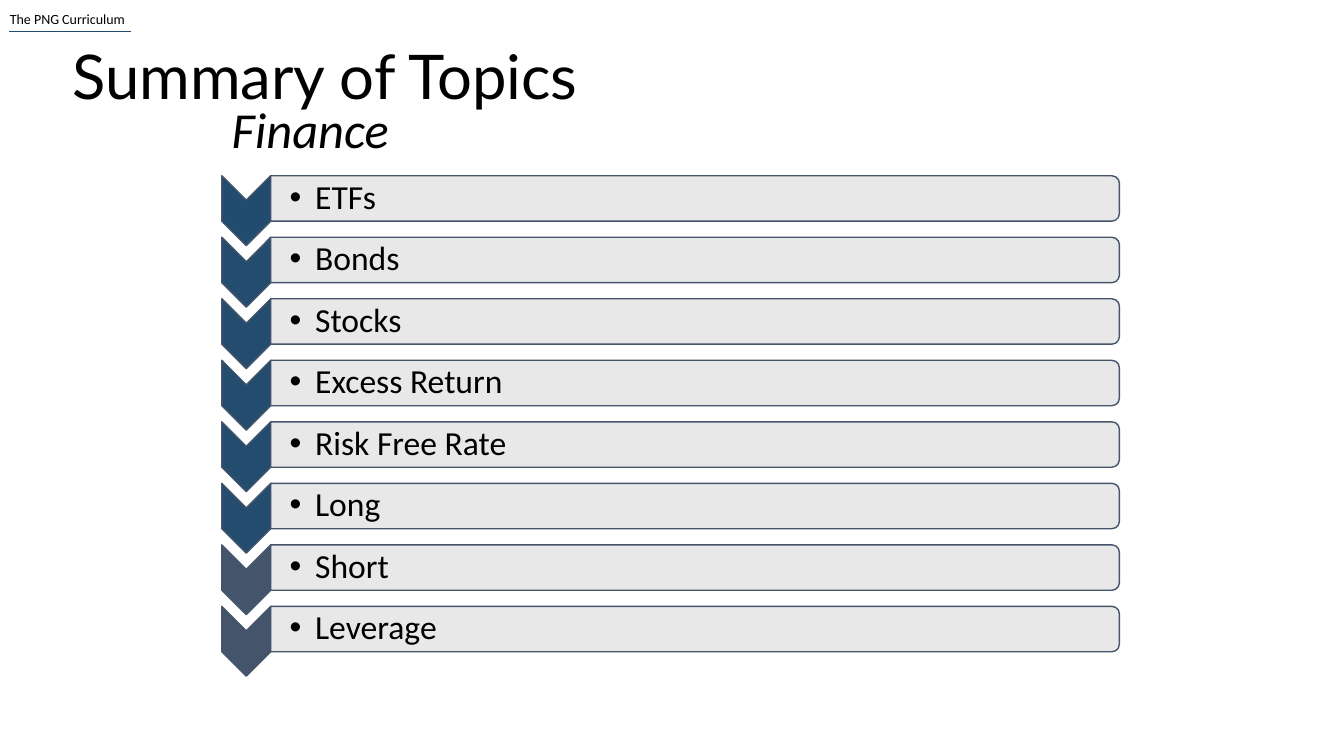
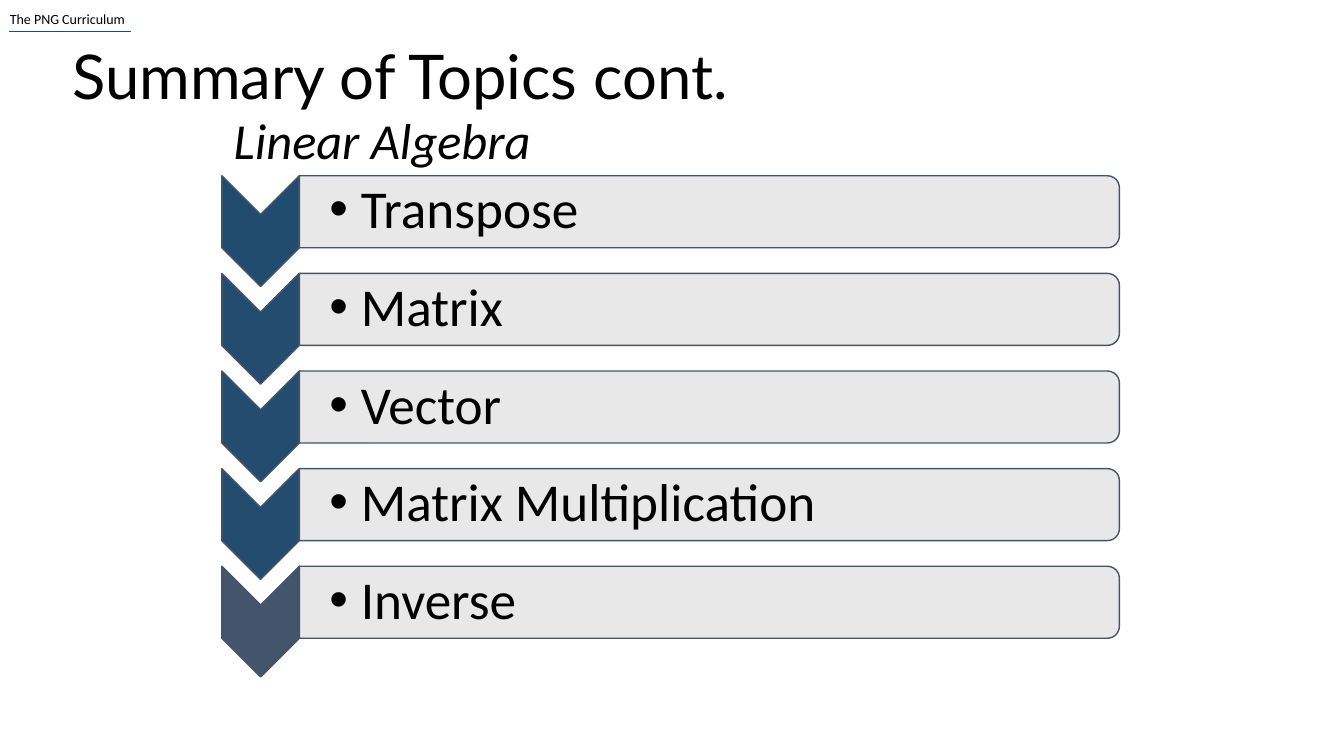
from lxml import etree
from pptx import Presentation
from pptx.dml.color import RGBColor
from pptx.enum import shapes, text
from pptx.oxml import ns
from pptx.util import Cm, Pt

COLOURS = {
    "text": "000000",
    "rule": "244C70",
    "first": "224C6F",
    "main": "244C6F",
    "slate": "44546A",
    "bar": "E7E6E6",
}
LIST_LEFT, LIST_RIGHT, LIST_TOP = 5.59, 28.21, 4.43

# "slate" is the number of closing rows with a slate chevron
TOPICS = [
    {"title": "Summary of Topics", "subject": "Finance", "subject_at": (5.59, 2.36),
     "items": ["ETFs", "Bonds", "Stocks", "Excess Return", "Risk Free Rate",
               "Long", "Short", "Leverage"],
     "slate": 2, "size": 24, "chevron": 1.76, "step": 1.55, "inset": 0.48, "indent": 0.64},
    {"title": "Summary of Topics cont.", "subject": "Linear Algebra", "subject_at": (5.64, 2.62),
     "items": ["Transpose", "Matrix", "Vector", "Matrix Multiplication", "Inverse"],
     "slate": 1, "size": 38, "chevron": 2.79, "step": 2.46, "inset": 0.76, "indent": 0.79},
]


def write(box, words, size, font="Calibri", italic=False, spacing=None, bullet_indent=None):
    box.text_frame.word_wrap = True
    para = box.text_frame.paragraphs[0]
    para.alignment = text.PP_ALIGN.LEFT
    para.line_spacing = spacing
    span = para.add_run()
    span.text = words
    span.font.size = Pt(size)
    span.font.name = font
    span.font.italic = italic
    span.font.color.rgb = RGBColor.from_string(COLOURS["text"])
    if bullet_indent:
        props = para._p.get_or_add_pPr()
        props.set("marL", str(Cm(bullet_indent)))
        props.set("indent", str(-Cm(bullet_indent)))
        etree.SubElement(props, ns.qn("a:buFont")).set("typeface", "Arial")
        etree.SubElement(props, ns.qn("a:buChar")).set("char", "•")


def add_turned(group, kind, left, top, width, height, fill):
    """Add a shape turned by 90 degrees that shows within the given frame."""
    shape = group.shapes.add_shape(
        kind, Cm(left + (width - height) / 2), Cm(top + (height - width) / 2),
        Cm(height), Cm(width))
    shape.rotation = 90
    shape.shadow.inherit = False
    shape.fill.solid()
    shape.fill.fore_color.rgb = RGBColor.from_string(COLOURS[fill])
    shape.line.color.rgb = RGBColor.from_string(COLOURS["slate"])
    shape.line.width = Pt(1)
    return shape


deck = Presentation()
deck.slide_width, deck.slide_height = Cm(33.87), Cm(19.05)
layout = deck.slide_layouts[5]

# Title position, shared through the layout
heading = layout.placeholders[0]
heading.left, heading.top, heading.width, heading.height = Cm(1.57), Cm(0.74), Cm(29.21), Cm(2.54)

pages = [deck.slides.add_slide(layout) for _ in TOPICS]

# Running header: drawn once, then moved to the layout
header = pages[0].shapes.add_textbox(0, Cm(0.15), Cm(10.11), Cm(0.69))
write(header, "The PNG Curriculum", 10)
rule = pages[0].shapes.add_connector(
    shapes.MSO_CONNECTOR.STRAIGHT, Cm(0.23), Cm(0.79), Cm(3.3), Cm(0.79))
rule.line.color.rgb = RGBColor.from_string(COLOURS["rule"])
rule.line.width = Pt(0.5)
etree.SubElement(rule.element.spPr, ns.qn("a:effectLst"))
for part in (header, rule):
    layout.shapes.element.append(part.element)

for page, topic in zip(pages, TOPICS):
    # Title and subject
    write(page.shapes.title, topic["title"], 44, font="Lato", spacing=0.9)
    left, top = topic["subject_at"]
    subject = page.shapes.add_textbox(Cm(left), Cm(top), Cm(17.48), Cm(1.8))
    write(subject, topic["subject"], 36, italic=True)

    # Chevron list
    rows = page.shapes.add_group_shape()
    chevron_height = topic["chevron"]
    chevron_width = 0.7 * chevron_height
    bar_height = 0.65 * chevron_height
    bar_left = LIST_LEFT + chevron_width
    bar_width = LIST_RIGHT - bar_left
    first_slate = len(topic["items"]) - topic["slate"]
    for index, item in enumerate(topic["items"]):
        top = LIST_TOP + index * topic["step"]
        fill = "first" if index == 0 else "main" if index < first_slate else "slate"
        add_turned(rows, shapes.MSO_SHAPE.CHEVRON, LIST_LEFT, top,
                   chevron_width, chevron_height, fill)
        bar = add_turned(rows, shapes.MSO_SHAPE.ROUND_2_SAME_RECTANGLE, bar_left, top,
                         bar_width, bar_height, "bar")
        colour = bar.element.spPr.find(".//" + ns.qn("a:srgbClr"))
        etree.SubElement(colour, ns.qn("a:alpha")).set("val", "90000")

        label = rows.shapes.add_textbox(Cm(bar_left), Cm(top), Cm(bar_width), Cm(bar_height))
        frame = label.text_frame
        frame.vertical_anchor = text.MSO_ANCHOR.MIDDLE
        frame.margin_left = Cm(topic["inset"])
        frame.margin_top = frame.margin_right = frame.margin_bottom = Cm(0.05)
        write(label, item, topic["size"], spacing=0.9, bullet_indent=topic["indent"])

deck.save("out.pptx")
